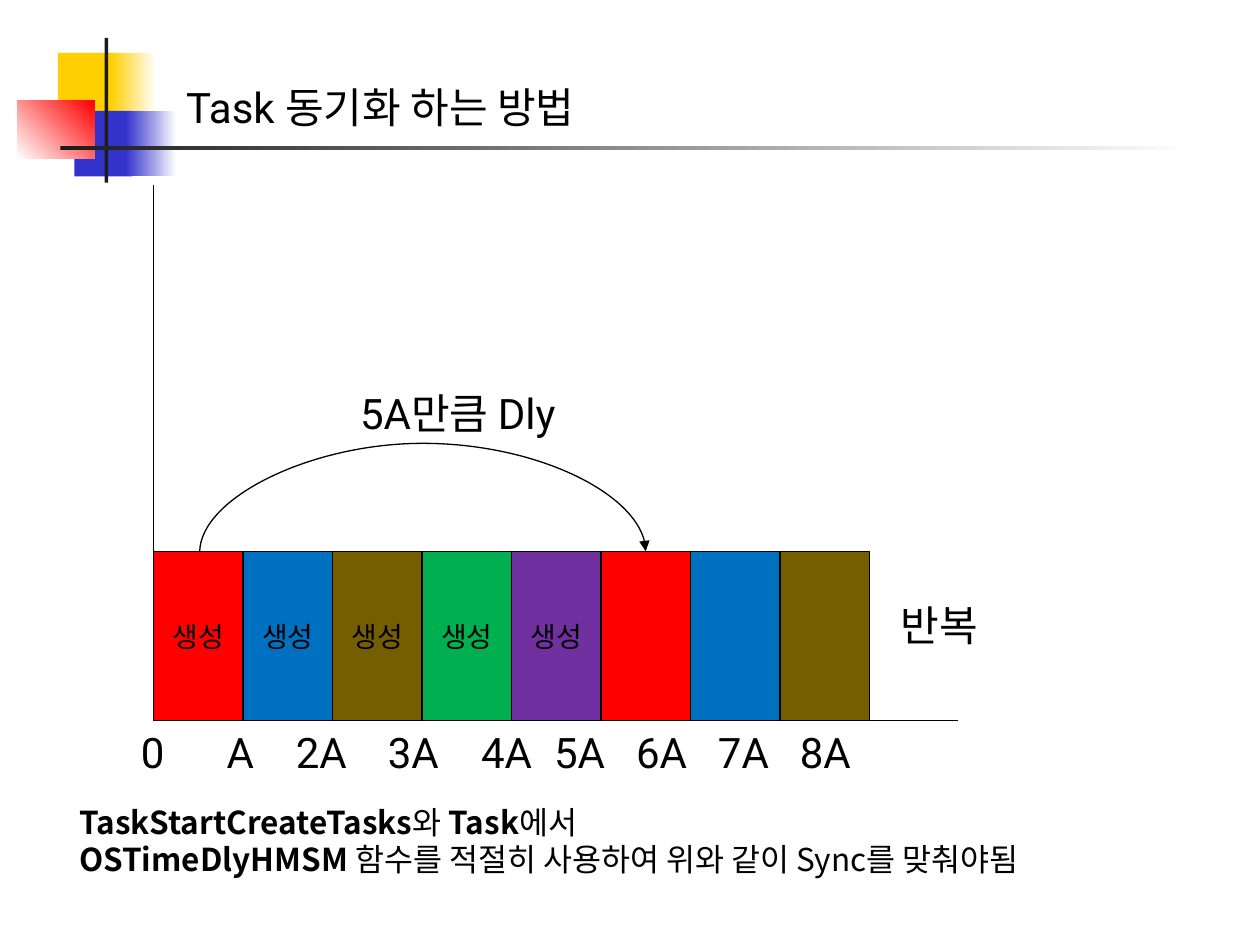
"""Build a slide that shows how tasks are synchronised on a time axis."""
import pptx
import pptx.dml.color
import pptx.enum.shapes
import pptx.enum.text
import pptx.oxml
import pptx.oxml.ns
import pptx.util

PX = 9144
THEME = {
    "black": "000000", "white": "FFFFFF", "ink": "1C1C1C", "gold": "FFCF01", "navy": "3333CC",
    "red": "FF0000", "blue": "0070C0", "olive": "745E00", "green": "00B050", "purple": "7030A0",
    "latin": "Roboto", "korean": "Noto Sans CJK KR",
    "large": 24, "body": 18, "small": 16, "line": 0.75,
}
RECTANGLE = pptx.enum.shapes.MSO_SHAPE.RECTANGLE
CONNECTOR = pptx.enum.shapes.MSO_CONNECTOR


def color(name):
    return pptx.dml.color.RGBColor.from_string(THEME[name])


def write(para, text, size, font, bold=False):
    span = para.add_run()
    span.text = text
    values = {"size": pptx.util.Pt(THEME[size]), "name": THEME[font], "bold": bold}
    for name, value in values.items():
        setattr(span.font, name, value)
    span.font.color.rgb = color("black")
    east_asian = pptx.oxml.parse_xml(
        f'<a:ea {pptx.oxml.ns.nsdecls("a")} typeface="{THEME["korean"]}"/>')
    span.font._element.find(pptx.oxml.ns.qn("a:latin")).addnext(east_asian)


deck = pptx.Presentation()
deck.slide_width, deck.slide_height = 1000 * PX, 750 * PX
page = deck.slides.add_slide(deck.slide_layouts[6])

ornaments = [
    ((46, 42, 48, 52), ["gold"], 0),
    ((88, 42, 36, 52), ["gold", "white"], 0),
    ((59, 88, 46, 52), ["navy"], 0),
    ((100, 88, 40, 52), ["navy", "white"], 0),
    ((14, 80, 61, 46), ["white", "red"], 45),
    ((83, 30, 3, 115), ["ink"], 0),
    ((48, 116, 900, 3), ["ink", "white"], 0),
]
for frame, colors, angle in ornaments:
    block = page.shapes.add_shape(RECTANGLE, *[length * PX for length in frame])
    block.shadow.inherit = False
    block.line.fill.background()
    if len(colors) == 1:
        block.fill.solid()
        block.fill.fore_color.rgb = color(colors[0])
    else:
        block.fill.gradient()
        block.fill.gradient_angle = angle
        for position, (stop, name) in enumerate(zip(block.fill.gradient_stops, colors)):
            stop.color.rgb = color(name)
            stop.position = position

bar_left, bar_top, bar_width, bar_height = 122, 438, 71, 134
axis_bottom = bar_top + bar_height
bar_colors = ["red", "blue", "olive", "green", "purple", "red", "blue", "olive"]
created_count = 5

connectors = [
    (CONNECTOR.STRAIGHT, (bar_left, 147, bar_left, axis_bottom)),
    (CONNECTOR.STRAIGHT, (bar_left, axis_bottom, 760, axis_bottom)),
    (CONNECTOR.CURVE, (335, 261, 336, 615)),
]
for kind, ends in connectors:
    connector = page.shapes.add_connector(kind, *[length * PX for length in ends])
    connector.line.color.rgb = color("black")
    connector.line.width = pptx.util.Pt(THEME["line"])
    properties = connector._element.spPr
    properties.append(pptx.oxml.parse_xml(f'<a:effectLst {pptx.oxml.ns.nsdecls("a")}/>'))
    if kind == CONNECTOR.CURVE:
        for name, value in {"rot": "5400000", "flipH": "1", "flipV": "1"}.items():
            properties.xfrm.set(name, value)
        guides = properties.find(pptx.oxml.ns.qn("a:prstGeom")).get_or_add_avLst()
        guides.append(pptx.oxml.parse_xml(
            f'<a:gd {pptx.oxml.ns.nsdecls("a")} name="adj1" fmla="val 8800000"/>'))
        connector.line._get_or_add_ln().append(pptx.oxml.parse_xml(
            f'<a:tailEnd {pptx.oxml.ns.nsdecls("a")} type="triangle"/>'))

for index, name in enumerate(bar_colors):
    frame = (bar_left + index * bar_width, bar_top, bar_width, bar_height)
    bar = page.shapes.add_shape(RECTANGLE, *[length * PX for length in frame])
    bar.shadow.inherit = False
    bar.fill.solid()
    bar.fill.fore_color.rgb = color(name)
    bar.line.color.rgb = color("black")
    bar.line.width = pptx.util.Pt(THEME["line"])
    if index < created_count:
        bar.text_frame.vertical_anchor = pptx.enum.text.MSO_ANCHOR.MIDDLE
        para = bar.text_frame.paragraphs[0]
        para.alignment = pptx.enum.text.PP_ALIGN.CENTER
        write(para, "생성", "small", "korean")

ticks = "\t".join(["A"] + [f"{number}A" for number in range(2, 9)])
tick_stops = [55, 128, 202, 260, 325, 390, 455]
texts = [
    ((138, 60, 353, 50), "large", "latin", [[("Task 동기화 하는 방법", False)]]),
    ((102, 572, 39, 50), "large", "latin", [[("0", False)]]),
    ((170, 572, 563, 50), "large", "latin", [[(ticks, False)]]),
    ((276, 303, 178, 50), "large", "latin", [[("5A만큼 Dly", False)]]),
    ((705, 471, 88, 50), "large", "latin", [[("반복", False)]]),
    ((53, 632, 947, 71), "body", "korean", [
        [("TaskStartCreateTasks", True), ("와 ", False), ("Task", True), ("에서", False)],
        [("OSTimeDlyHMSM ", True), ("함수를 적절히 사용하여 위와 같이 Sync를 맞춰야됨", False)],
    ]),
]
for frame, size, font, lines in texts:
    box = page.shapes.add_textbox(*[length * PX for length in frame])
    box.text_frame.word_wrap = True
    box.text_frame.auto_size = pptx.enum.text.MSO_AUTO_SIZE.SHAPE_TO_FIT_TEXT
    for index, spans in enumerate(lines):
        para = box.text_frame.add_paragraph() if index else box.text_frame.paragraphs[0]
        for text, bold in spans:
            write(para, text, size, font, bold)
        if spans[0][0] == ticks:
            stops = "".join(f'<a:tab pos="{stop * PX}" algn="l"/>' for stop in tick_stops)
            para._p.get_or_add_pPr().append(pptx.oxml.parse_xml(
                f'<a:tabLst {pptx.oxml.ns.nsdecls("a")}>{stops}</a:tabLst>'))

deck.save("out.pptx")
